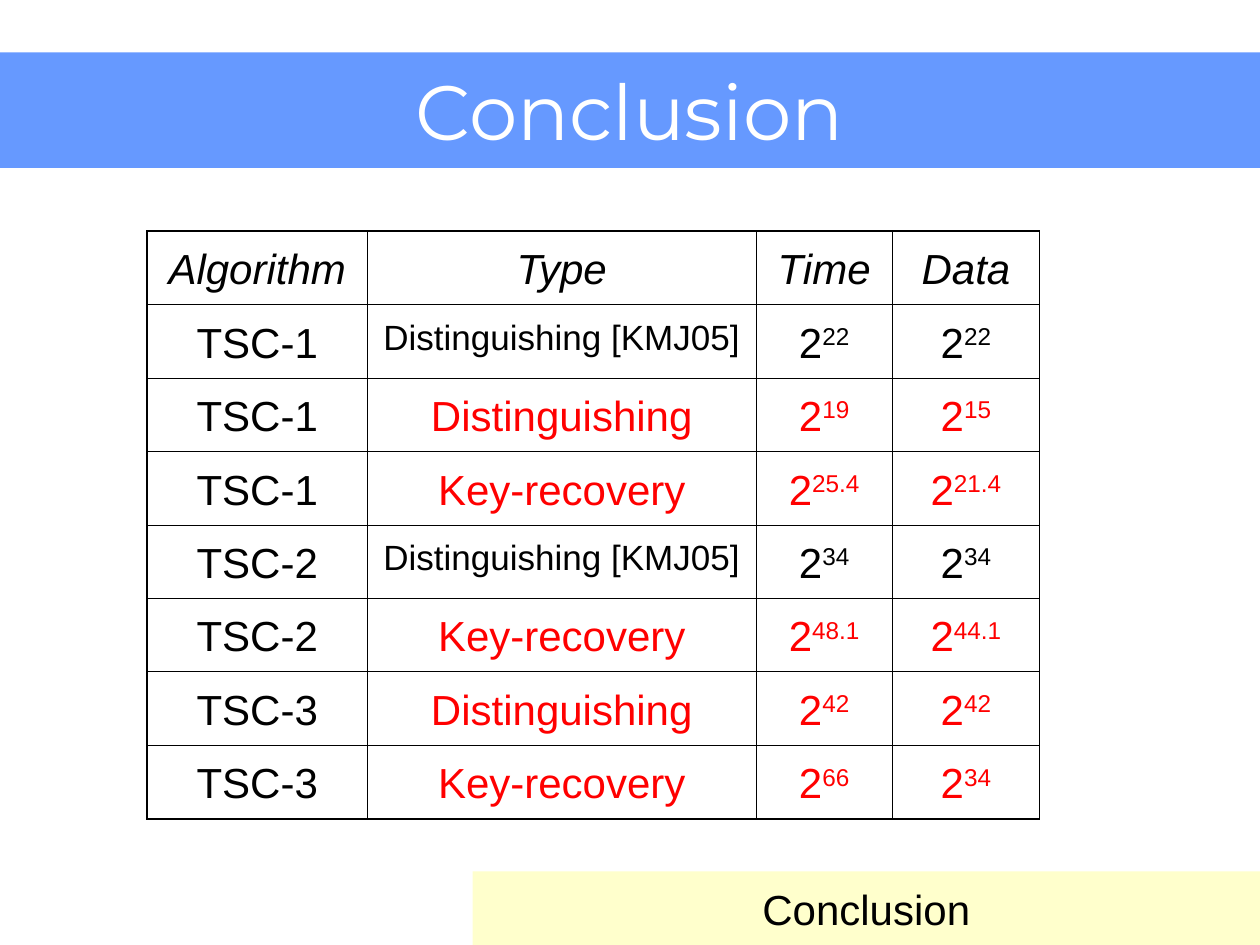
from dataclasses import dataclass

from lxml.etree import SubElement
from pptx import Presentation
from pptx.dml.color import RGBColor as RGB
from pptx.enum.shapes import MSO_SHAPE as Shape
from pptx.enum.text import MSO_ANCHOR as Anchor, PP_ALIGN as Align
from pptx.oxml.ns import qn
from pptx.util import Inches, Pt

UNIT = Inches(1) // 12  # the slide is a grid of 120 columns by 90 rows


@dataclass(frozen=True)
class Theme:
    title_font: str = "Montserrat"
    body_font: str = "Arial"
    title_size: int = 44
    body_size: int = 24
    cited_size: int = 20
    black: str = "000000"
    white: str = "FFFFFF"
    red: str = "FF0000"
    blue: str = "6699FF"
    cream: str = "FFFFCC"
    thin: float = 0.45
    thick: float = 1.08


THEME = Theme()
TITLE_BOX = (0, 5, 120, 11)
FOOTER_BOX = (45, 83, 75, 7)
TABLE_AT = (14, 22)
COLUMNS = (21, 37, 13, 14)
ROW_HEIGHT = 7

HEADER = ("Algorithm", "Type", "Time", "Data")
CITED = "Distinguishing [KMJ05]"
# Algorithm, attack type, then the powers of two for time and data
ATTACKS = (
    ("TSC-1", CITED, "22", "22"),
    ("TSC-1", "Distinguishing", "19", "15"),
    ("TSC-1", "Key-recovery", "25.4", "21.4"),
    ("TSC-2", CITED, "34", "34"),
    ("TSC-2", "Key-recovery", "48.1", "44.1"),
    ("TSC-3", "Distinguishing", "42", "42"),
    ("TSC-3", "Key-recovery", "66", "34"),
)


def grid(*cells):
    return [c * UNIT for c in cells]


def add_run(p, text, color=THEME.black, size=THEME.body_size,
            font=THEME.body_font, italic=False, raised=False):
    r = p.add_run()
    r.text = text
    for name, value in {"name": font, "size": Pt(size), "italic": italic}.items():
        setattr(r.font, name, value)
    r.font.color.rgb = RGB.from_string(color)
    if raised:
        r.font._element.set("baseline", "30000")


def add_band(s, box, color):
    sp = s.shapes.add_shape(Shape.RECTANGLE, *grid(*box))
    sp.shadow.inherit = False
    sp.fill.solid()
    sp.fill.fore_color.rgb = RGB.from_string(color)
    sp.line.fill.background()
    return sp


def write_centred(sp, text, wrap, **style):
    tf = sp.text_frame
    tf.word_wrap = wrap
    tf.vertical_anchor = Anchor.MIDDLE
    p = tf.paragraphs[0]
    p.alignment = Align.CENTER
    add_run(p, text, **style)


def set_borders(cell, outer):
    """Rule all four sides, thick where the side is on the table's edge."""
    tc_pr = cell._tc.get_or_add_tcPr()
    for side in "LRTB":
        width = THEME.thick if side in outer else THEME.thin
        ln = SubElement(tc_pr, qn(f"a:ln{side}"), w=str(Pt(width)))
        fill = SubElement(ln, qn("a:solidFill"))
        SubElement(fill, qn("a:srgbClr"), val=THEME.black)


def fill_cell(cell, text, outer, power=None, **style):
    set_borders(cell, outer)
    cell.fill.background()
    p = cell.text_frame.paragraphs[0]
    spacing = Pt(style.get("size", THEME.body_size) / 4)
    for name, value in {"alignment": Align.CENTER, "line_spacing": 1.2,
                        "space_before": spacing}.items():
        setattr(p, name, value)
    add_run(p, text, **style)
    if power:
        add_run(p, power, raised=True, **style)


def add_results(s):
    n_rows, n_cols = len(ATTACKS) + 1, len(COLUMNS)
    size = sum(COLUMNS), ROW_HEIGHT * n_rows
    frame = s.shapes.add_table(n_rows, n_cols, *grid(*TABLE_AT, *size))
    table = frame.table
    table.first_row = table.horz_banding = False
    for column, width in zip(table.columns, COLUMNS):
        column.width = width * UNIT
    for row in table.rows:
        row.height = ROW_HEIGHT * UNIT

    for i, values in enumerate((HEADER, *ATTACKS)):
        for j, value in enumerate(values):
            edges = {"L": j == 0, "R": j == n_cols - 1,
                     "T": i == 0, "B": i == n_rows - 1}
            outer = [side for side, is_edge in edges.items() if is_edge]
            style = {"italic": i == 0}
            # New results are red, cited ones black and smaller
            if i and j and values[1] != CITED:
                style["color"] = THEME.red
            if value == CITED:
                style["size"] = THEME.cited_size
            if i and j > 1:
                fill_cell(table.cell(i, j), "2", outer, power=value, **style)
            else:
                fill_cell(table.cell(i, j), value, outer, **style)


def main():
    prs = Presentation()
    prs.slide_width, prs.slide_height = grid(120, 90)
    s = prs.slides.add_slide(prs.slide_layouts[6])

    # Footer band, then title band
    add_band(s, FOOTER_BOX, THEME.cream)
    title = add_band(s, TITLE_BOX, THEME.blue)
    write_centred(title, "Conclusion", True, color=THEME.white,
                  size=THEME.title_size, font=THEME.title_font)

    # Section name over the footer band
    section = s.shapes.add_textbox(*grid(*FOOTER_BOX))
    write_centred(section, "Conclusion", False)

    # Attack complexities
    add_results(s)
    prs.save("out.pptx")


if __name__ == "__main__":
    main()
